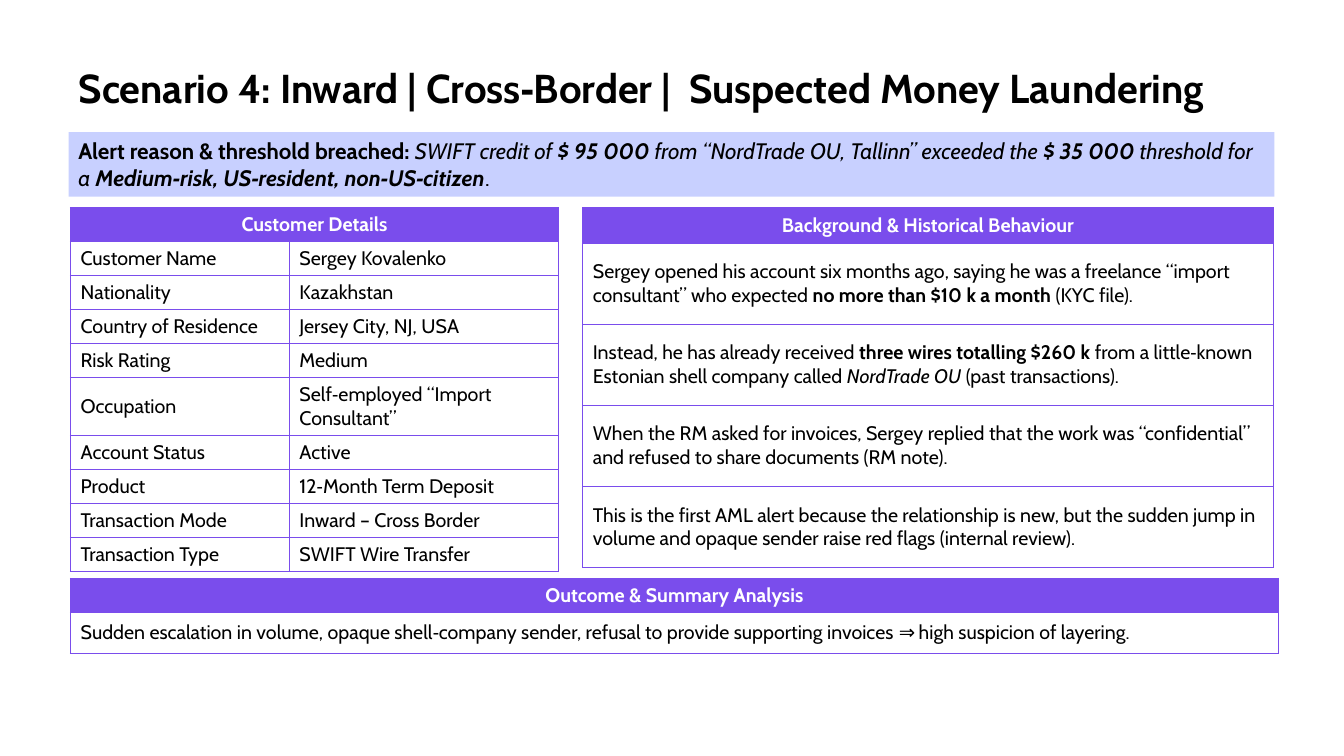
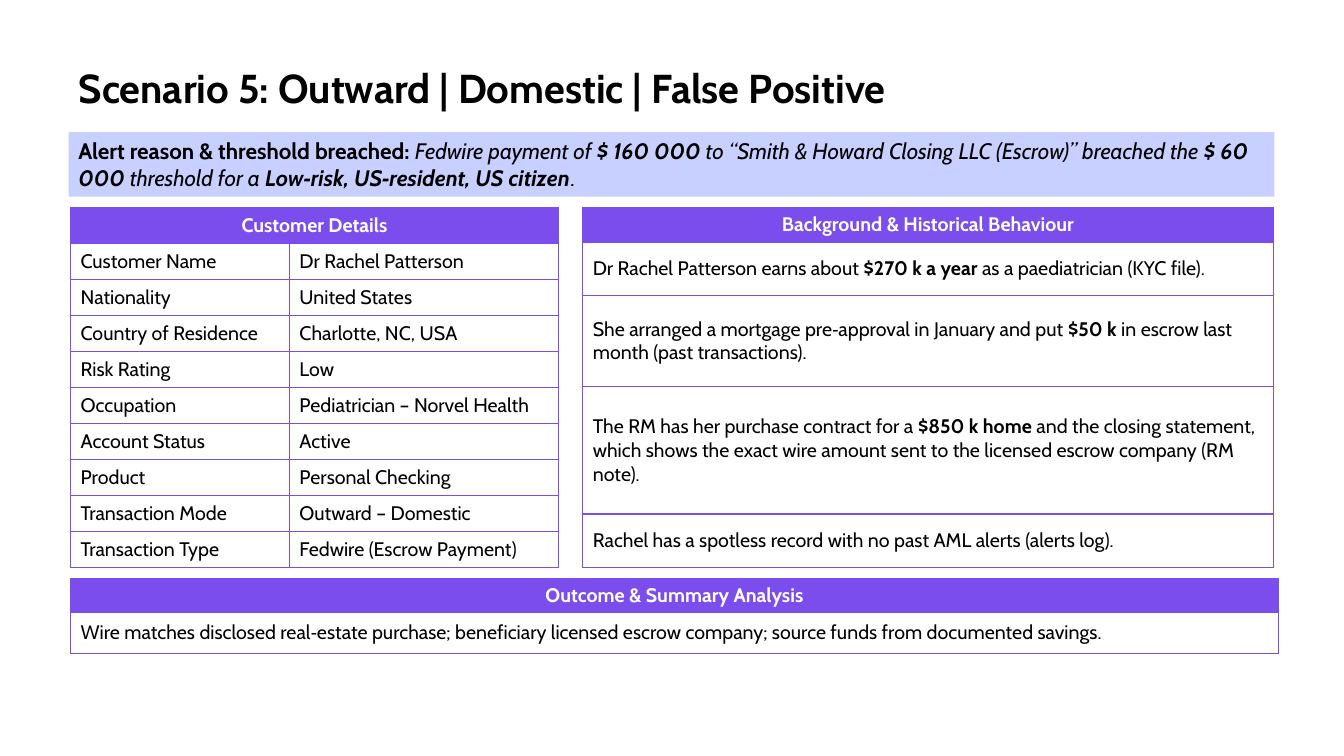
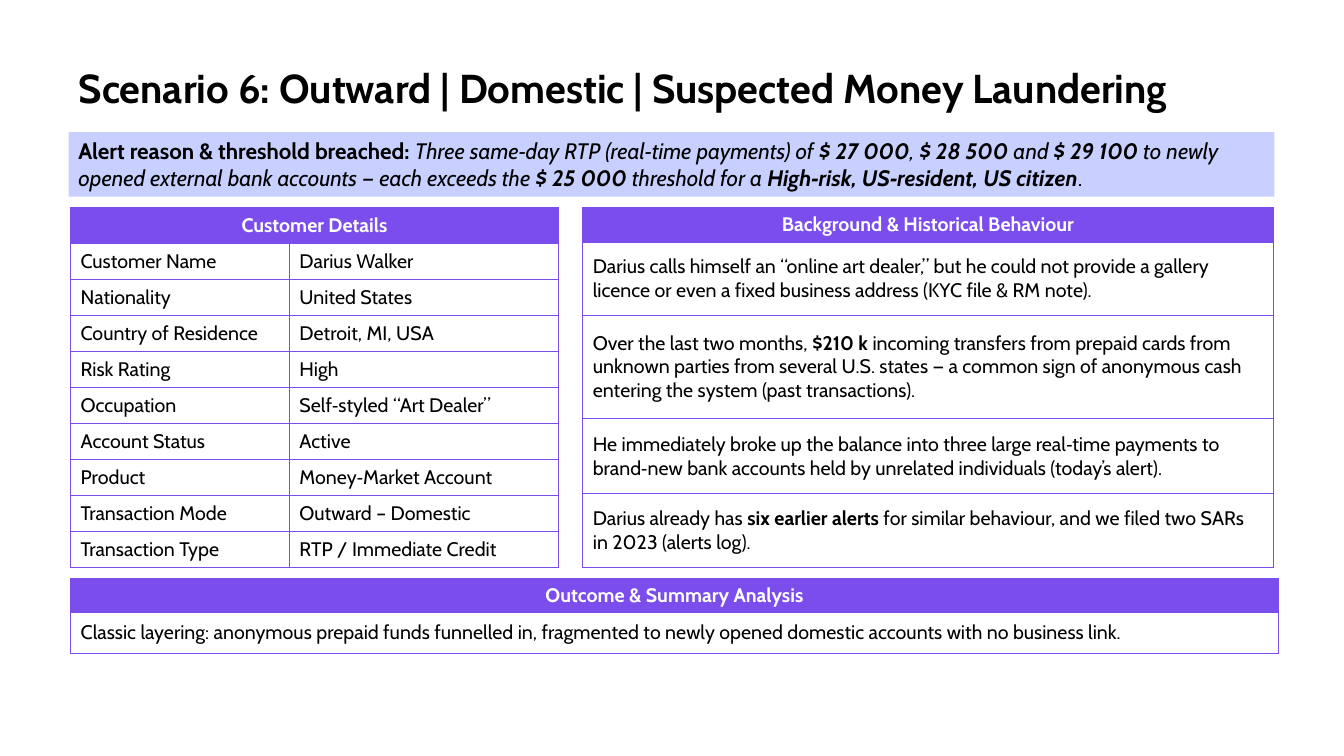
from lxml.etree import SubElement
from pptx import Presentation
from pptx.dml.color import RGBColor
from pptx.enum.shapes import MSO_SHAPE
from pptx.enum.text import MSO_ANCHOR, MSO_AUTO_SIZE, PP_ALIGN
from pptx.oxml import parse_xml
from pptx.oxml.ns import nsdecls, qn
from pptx.util import Inches, Pt

BLACK = RGBColor(0x00, 0x00, 0x00)
WHITE = RGBColor(0xFF, 0xFF, 0xFF)
PURPLE = RGBColor(0x7A, 0x4D, 0xEC)
PERIWINKLE = RGBColor(0x93, 0xA2, 0xFF)

FONT = "Cabin"
TITLE_SIZE, ALERT_SIZE, TABLE_SIZE = 28.8, 16, 14

# The slide is a grid of 100 columns by 100 rows.
WIDTH, HEIGHT = Inches(13.33), Inches(7.5)
COLUMN, ROW = WIDTH / 100, HEIGHT / 100

TITLE_BOX = (5.1, 6.67, 89.87, 10.67)
ALERT_BOX = (5.1, 17.47, 89.72, 8.53)
TABLE_LEFT, TABLE_TOP, TABLE_HEIGHT = 5.25, 27.47, 47.6
DETAIL_COLUMNS = [16.28, 20.03]
BACKGROUND_LEFT, BACKGROUND_COLUMNS = 43.36, [51.39]
OUTCOME_TOP, OUTCOME_COLUMNS, OUTCOME_ROWS = 76.53, [89.87], [4.4, 5.47]

DETAIL_LABELS = ["Customer Name", "Nationality", "Country of Residence", "Risk Rating", "Occupation",
                 "Account Status", "Product", "Transaction Mode", "Transaction Type"]
EVEN_ROWS = [TABLE_HEIGHT / 10] * 10
TALL_OCCUPATION_ROWS = [4.4] * 5 + [7.6] + [4.4] * 4

# In running text, * switches bold and _ switches italic.
SCENARIOS = [
    {
        "title": "Scenario 4: Inward | Cross‑Border |  Suspected Money Laundering",
        "alert": "_SWIFT credit of *$ 95 000* from “NordTrade OU, Tallinn” exceeded the *$ 35 000* "
                 "threshold for a *Medium‑risk, US‑resident, non‑US‑citizen*_.",
        "details": ["Sergey Kovalenko", "Kazakhstan", "Jersey City, NJ, USA", "Medium",
                    "Self‑employed “Import Consultant”", "Active", "12‑Month Term Deposit",
                    "Inward – Cross Border", "SWIFT Wire Transfer"],
        "detail_rows": TALL_OCCUPATION_ROWS,
        "background": [
            "Sergey opened his account six months ago, saying he was a freelance “import consultant” "
            "who expected *no more than $10 k a month* (KYC file).",
            "Instead, he has already received *three wires totalling $260 k* from a little‑known "
            "Estonian shell company called _NordTrade OU_ (past transactions).",
            "When the RM asked for invoices, Sergey replied that the work was “confidential” "
            "and refused to share documents (RM note).",
            "This is the first AML alert because the relationship is new, but the sudden jump in "
            "volume and opaque sender raise red flags (internal review).",
        ],
        "background_rows": [10.73] * 4,
        "outcome": "Sudden escalation in volume, opaque shell‑company sender, refusal to provide "
                   "supporting invoices ⇒ high suspicion of layering.",
    },
    {
        "title": "Scenario 5: Outward | Domestic | False Positive",
        "alert": "_Fedwire payment of *$ 160 000* to “Smith & Howard Closing LLC (Escrow)” breached the "
                 "*$ 60 000* threshold for a *Low‑risk, US‑resident, US citizen*_.",
        "details": ["Dr Rachel Patterson", "United States", "Charlotte, NC, USA", "Low",
                    "Pediatrician – Norvel Health", "Active", "Personal Checking",
                    "Outward – Domestic", "Fedwire (Escrow Payment)"],
        "detail_rows": EVEN_ROWS,
        "background": [
            "Dr Rachel Patterson earns about *$270 k a year* as a paediatrician (KYC file).",
            "She arranged a mortgage pre‑approval in January and put *$50 k* in escrow last month "
            "(past transactions).",
            "The RM has her purchase contract for a *$850 k home* and the closing statement, which "
            "shows the exact wire amount sent to the licensed escrow company (RM note).",
            "Rachel has a spotless record with no past AML alerts (alerts log).",
        ],
        "background_rows": [7.07, 12, 16.9, 7.07],
        "outcome": "Wire matches disclosed real‑estate purchase; beneficiary licensed escrow company; "
                   "source funds from documented savings.",
    },
    {
        "title": "Scenario 6: Outward | Domestic | Suspected Money Laundering",
        "alert": "_Three same‑day RTP (real‑time payments) of *$ 27 000*, *$ 28 500* and *$ 29 100* "
                 "to newly opened external bank accounts — each exceeds the *$ 25 000* threshold "
                 "for a *High‑risk, US‑resident, US citizen*_.",
        "details": ["Darius Walker", "United States", "Detroit, MI, USA", "High",
                    "Self‑styled “Art Dealer”", "Active", "Money‑Market Account",
                    "Outward – Domestic", "RTP / Immediate Credit"],
        "detail_rows": EVEN_ROWS,
        "background": [
            "Darius calls himself an “online art dealer,” but he could not provide a gallery licence "
            "or even a fixed business address (KYC file & RM note).",
            "Over the last two months, *$210 k* incoming transfers from prepaid cards from unknown "
            "parties from several U.S. states — a common sign of anonymous cash entering the system "
            "(past transactions).",
            "He immediately broke up the balance into three large real‑time payments to brand‑new "
            "bank accounts held by unrelated individuals (today’s alert).",
            "Darius already has *six earlier alerts* for similar behaviour, and we filed two SARs "
            "in 2023 (alerts log).",
        ],
        "background_rows": [9.73, 13.6, 10, 9.73],
        "outcome": "Classic layering: anonymous prepaid funds funnelled in, fragmented to newly opened "
                   "domestic accounts with no business link.",
    },
]


def to_emu(left, top, width, height):
    """Turn grid columns and rows into slide lengths."""
    return [round(length) for length in (left * COLUMN, top * ROW, width * COLUMN, height * ROW)]


class ScenarioDeck:
    """Holds the presentation style and the slide being filled."""

    def __init__(self):
        self.presentation = Presentation()
        self.presentation.slide_width = WIDTH
        self.presentation.slide_height = HEIGHT
        self.slide = None

    def add_text(self, text_frame, text, size, color=BLACK, alignment=PP_ALIGN.LEFT):
        """Fill a frame with one paragraph, reading the * and _ switches."""
        paragraph = text_frame.paragraphs[0]
        paragraph.alignment = alignment
        italic = False
        for bold_index, bold_part in enumerate(text.split("*")):
            for italic_index, piece in enumerate(bold_part.split("_")):
                italic ^= italic_index > 0
                if not piece:
                    continue
                run = paragraph.add_run()
                run.text = piece
                font_format = {"name": FONT, "size": Pt(size), "bold": bold_index % 2 == 1, "italic": italic}
                for name, value in font_format.items():
                    setattr(run.font, name, value)
                run.font.color.rgb = color
        return paragraph

    def add_title_slide(self, text):
        self.slide = self.presentation.slides.add_slide(self.presentation.slide_layouts[5])
        title = self.slide.shapes.title
        for name, value in zip(("left", "top", "width", "height"), to_emu(*TITLE_BOX)):
            setattr(title, name, value)
        frame = title.text_frame
        frame.word_wrap = True
        frame.auto_size = MSO_AUTO_SIZE.NONE
        frame.vertical_anchor = MSO_ANCHOR.MIDDLE
        self.add_text(frame, f"*{text}*", TITLE_SIZE).line_spacing = 0.9

    def add_alert(self, text):
        band = self.slide.shapes.add_shape(MSO_SHAPE.RECTANGLE, *to_emu(*ALERT_BOX))
        band.shadow.inherit = False
        band.line.fill.background()
        band.fill.solid()
        band.fill.fore_color.rgb = PERIWINKLE
        color = band._element.spPr.find(qn("a:solidFill"))[0]
        SubElement(color, qn("a:alpha"), val="50000")
        frame = band.text_frame
        frame.word_wrap = True
        frame.auto_size = MSO_AUTO_SIZE.SHAPE_TO_FIT_TEXT
        frame.vertical_anchor = MSO_ANCHOR.TOP
        self.add_text(frame, f"*Alert reason & threshold breached: *{text}", ALERT_SIZE)

    def add_table(self, left, top, columns, rows, header, body):
        """Add a bordered table whose first row is one header across all columns."""
        box = to_emu(left, top, sum(columns), sum(rows))
        table = self.slide.shapes.add_table(len(rows), len(columns), *box).table
        table.first_row = table.horz_banding = False
        for table_column, width in zip(table.columns, columns):
            table_column.width = round(width * COLUMN)
        for table_row, height in zip(table.rows, rows):
            table_row.height = round(height * ROW)
        for cell in table.iter_cells():
            self.add_borders(cell)
            cell.vertical_anchor = MSO_ANCHOR.MIDDLE
            cell.fill.background()

        header_cell = table.cell(0, 0)
        if len(columns) > 1:
            header_cell.merge(table.cell(0, len(columns) - 1))
        header_cell.fill.solid()
        header_cell.fill.fore_color.rgb = PURPLE
        self.add_text(header_cell.text_frame, f"*{header}*", TABLE_SIZE, WHITE, PP_ALIGN.CENTER)
        for row_index, texts in enumerate(body, start=1):
            for column_index, text in enumerate(texts):
                self.add_text(table.cell(row_index, column_index).text_frame, text, TABLE_SIZE)

    def add_borders(self, cell):
        properties = cell._tc.get_or_add_tcPr()
        for side in "LRTB":
            properties.append(parse_xml(
                f'<a:ln{side} {nsdecls("a")} w="{Pt(1)}"><a:solidFill>'
                f'<a:srgbClr val="{PURPLE}"/></a:solidFill></a:ln{side}>'))

    def add_scenario(self, scenario):
        self.add_title_slide(scenario["title"])
        self.add_table(TABLE_LEFT, TABLE_TOP, DETAIL_COLUMNS, scenario["detail_rows"],
                       "Customer Details", zip(DETAIL_LABELS, scenario["details"]))
        self.add_alert(scenario["alert"])
        body_rows = scenario["background_rows"]
        self.add_table(BACKGROUND_LEFT, TABLE_TOP, BACKGROUND_COLUMNS,
                       [TABLE_HEIGHT - sum(body_rows)] + body_rows,
                       "Background & Historical Behaviour", [[text] for text in scenario["background"]])
        self.add_table(TABLE_LEFT, OUTCOME_TOP, OUTCOME_COLUMNS, OUTCOME_ROWS,
                       "Outcome & Summary Analysis", [[scenario["outcome"]]])


def main():
    deck = ScenarioDeck()
    for scenario in SCENARIOS:
        deck.add_scenario(scenario)
    deck.presentation.save("out.pptx")


if __name__ == "__main__":
    main()
